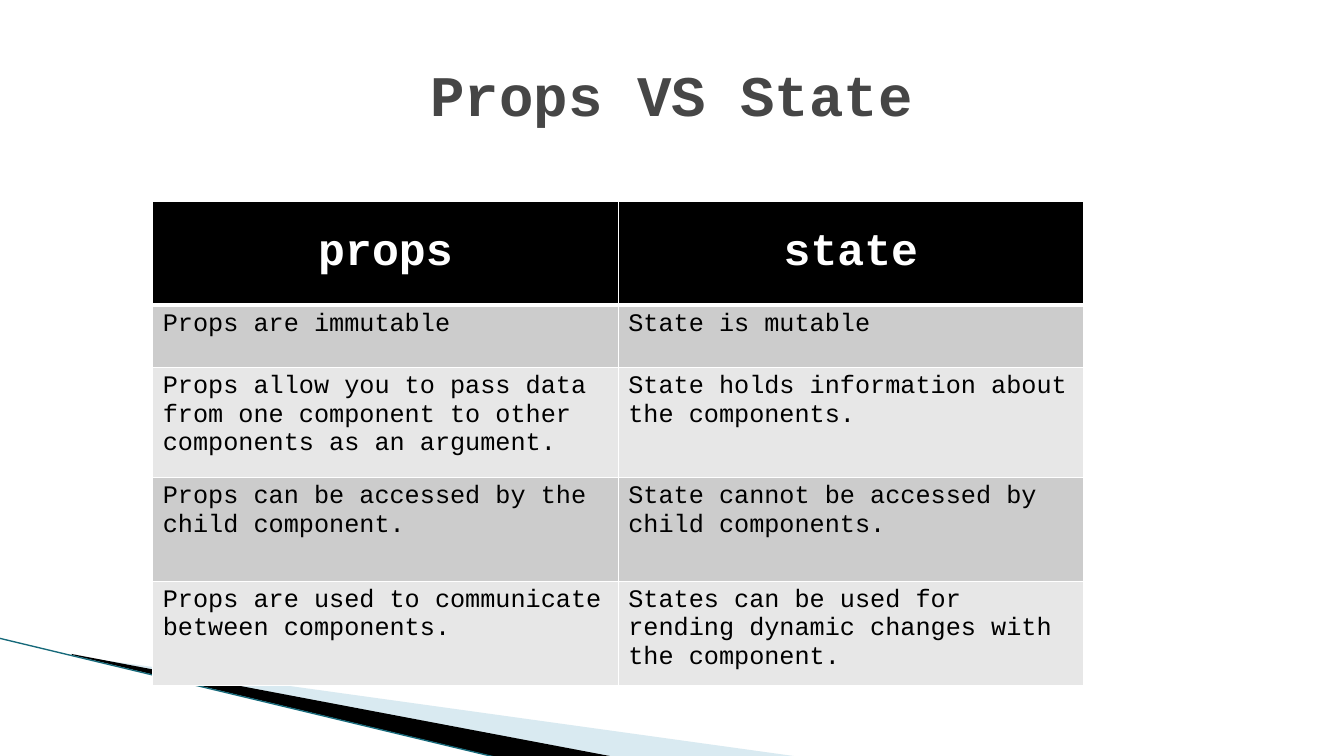
from dataclasses import dataclass

from lxml.etree import SubElement
from pptx import Presentation
from pptx.dml.color import RGBColor
from pptx.enum.shapes import MSO_CONNECTOR
from pptx.enum.text import MSO_ANCHOR, PP_ALIGN
from pptx.oxml.ns import qn
from pptx.util import Cm, Pt


@dataclass(frozen=True)
class Theme:
    font: str = "Courier New"
    title: str = "464646"
    dark: str = "000000"
    light: str = "FFFFFF"
    bands: tuple = ("CCCCCC", "E7E7E7")
    pale_wedge: str = "A0CBDC"
    edge: str = "16697A"
    title_size: int = 41
    header_size: int = 32
    body_size: int = 18


THEME = Theme()

ROWS = [
    ("props", "state"),
    ("Props are immutable", "State is mutable"),
    ("Props allow you to pass data from one component to other components as an argument.",
     "State holds information about the components."),
    ("Props can be accessed by the child component.",
     "State cannot be accessed by child components."),
    ("Props are used to communicate between components.",
     "States can be used for rending dynamic changes with the component."),
]
ROW_HEIGHTS = (2.62, 1.57, 2.77, 2.62, 2.62)
COLUMN_WIDTH = 11.73


def write_text(frame, text, *, size, color, bold=False, align=PP_ALIGN.LEFT):
    frame.word_wrap = True
    paragraph = frame.paragraphs[0]
    paragraph.alignment = align
    run = paragraph.add_run()
    run.text = text
    run.font.name = THEME.font
    run.font.size = Pt(size)
    run.font.bold = bold
    run.font.color.rgb = RGBColor.from_string(color)


def add_wedge(slide, points, color, opacity=100):
    corners = [(Cm(x), Cm(y)) for x, y in points]
    builder = slide.shapes.build_freeform(*corners[0])
    builder.add_line_segments(corners[1:], close=True)
    shape = builder.convert_to_shape()
    shape.shadow.inherit = False
    shape.fill.solid()
    shape.fill.fore_color.rgb = RGBColor.from_string(color)
    shape.line.fill.background()
    if opacity < 100:
        color_element = shape._element.spPr.find(qn("a:solidFill"))[0]
        SubElement(color_element, qn("a:alpha"), val=str(opacity * 1000))


def add_edge(slide, start, end):
    connector = slide.shapes.add_connector(
        MSO_CONNECTOR.STRAIGHT, *(Cm(value) for value in start + end))
    connector.line.color.rgb = RGBColor.from_string(THEME.edge)
    connector.line.width = Pt(0.95)
    SubElement(connector._element.spPr, qn("a:effectLst"))


def add_title(slide, text):
    box = slide.shapes.add_textbox(Cm(1.69), Cm(0.76), Cm(30.48), Cm(3.18))
    box.text_frame.vertical_anchor = MSO_ANCHOR.MIDDLE
    write_text(box.text_frame, text, size=THEME.title_size, color=THEME.title,
               bold=True, align=PP_ALIGN.CENTER)


def set_borders(cell, **widths):
    properties = cell._tc.get_or_add_tcPr()
    for side in ("L", "R", "T", "B"):
        line = SubElement(properties, qn(f"a:ln{side}"), w=str(Pt(widths.get(side, 1))))
        fill = SubElement(line, qn("a:solidFill"))
        SubElement(fill, qn("a:srgbClr"), val=THEME.light)


def fill_cell(cell, text, row):
    if row == 0:
        set_borders(cell, B=3)
        color = THEME.dark
        cell.vertical_anchor = MSO_ANCHOR.MIDDLE
        write_text(cell.text_frame, text, size=THEME.header_size, color=THEME.light,
                   bold=True, align=PP_ALIGN.CENTER)
    else:
        set_borders(cell, T=3 if row == 1 else 1)
        color = THEME.bands[(row - 1) % 2]
        write_text(cell.text_frame, text, size=THEME.body_size, color=THEME.dark)
    cell.fill.solid()
    cell.fill.fore_color.rgb = RGBColor.from_string(color)


def add_comparison(slide, rows):
    columns = len(rows[0])
    table = slide.shapes.add_table(
        len(rows), columns, Cm(3.85), Cm(5.07),
        Cm(COLUMN_WIDTH * columns), Cm(sum(ROW_HEIGHTS))).table
    for column in table.columns:
        column.width = Cm(COLUMN_WIDTH)
    for row, texts in enumerate(rows):
        table.rows[row].height = Cm(ROW_HEIGHTS[row])
        for column, text in enumerate(texts):
            fill_cell(table.cell(row, column), text, row)


def main():
    presentation = Presentation()
    presentation.slide_width = Cm(33.87)
    presentation.slide_height = Cm(19.05)
    slide = presentation.slides.add_slide(presentation.slide_layouts[6])
    add_wedge(slide, [(1.85, 16.53), (20.14, 19.07), (15.44, 19.07), (1.85, 16.51)],
              THEME.pale_wedge, opacity=40)
    add_wedge(slide, [(1.8, 16.48), (15.47, 19.07), (12.6, 19.1), (1.83, 16.51)],
              THEME.dark)
    add_edge(slide, (-0.03, 16.08), (12.57, 19.1))
    add_title(slide, "Props VS State")
    add_comparison(slide, ROWS)
    presentation.save("out.pptx")


if __name__ == "__main__":
    main()
